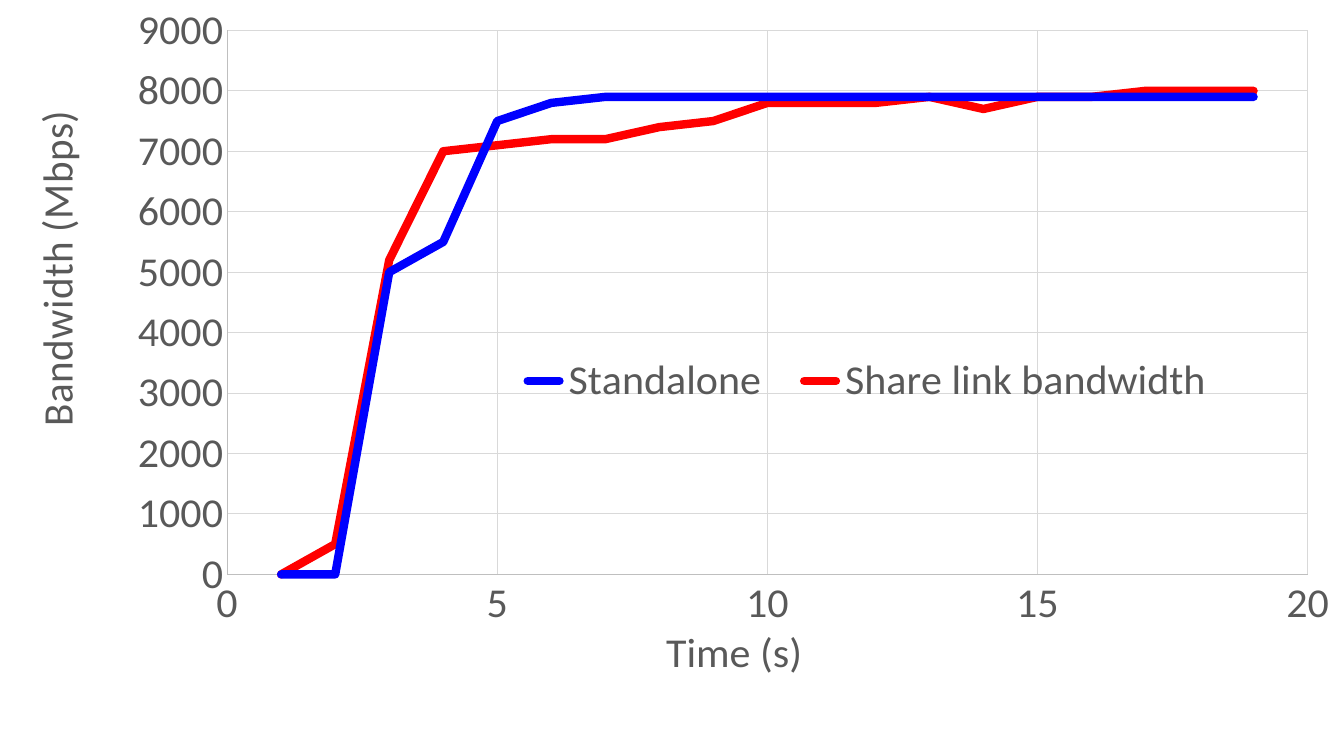
from lxml import etree
from pptx import Presentation
from pptx.chart.data import XyChartData
from pptx.dml.color import RGBColor
from pptx.enum.chart import XL_CHART_TYPE, XL_LEGEND_POSITION, XL_MARKER_STYLE, XL_TICK_MARK
from pptx.oxml.ns import qn
from pptx.util import Inches, Pt

LINES = XL_CHART_TYPE.XY_SCATTER_LINES_NO_MARKERS
BOTTOM = XL_LEGEND_POSITION.BOTTOM
NO_MARKER = XL_MARKER_STYLE.NONE
NO_TICK = XL_TICK_MARK.NONE

BLUE = RGBColor(0x00, 0x00, 0xFF)
RED = RGBColor(0xFF, 0x00, 0x00)
TEXT_GRAY = RGBColor(0x59, 0x59, 0x59)
AXIS_GRAY = RGBColor(0xBF, 0xBF, 0xBF)
GRID_GRAY = RGBColor(0xD9, 0xD9, 0xD9)

BANDWIDTH = {
    "Standalone": (BLUE, [0, 0, 5000, 5500, 7500, 7800] + [7900] * 13),
    "Share link bandwidth": (RED, [
        0, 500, 5200, 7000, 7100, 7200, 7200, 7400, 7500, 7800,
        7800, 7800, 7900, 7700, 7900, 7900, 8000, 8000, 8000]),
}


def style_font(font):
    font.name = "Calibri"
    font.size = Pt(30)
    font.bold = False
    font.color.rgb = TEXT_GRAY


def place(element, **shares):
    """Set a manual layout, given as shares of the chart's size."""
    for old in element.findall(qn("c:layout")):
        element.remove(old)
    layout = etree.Element(qn("c:layout"))
    manual = etree.SubElement(layout, qn("c:manualLayout"))
    if element.tag == qn("c:plotArea"):
        etree.SubElement(manual, qn("c:layoutTarget")).set("val", "inner")
    for side in ("x", "y"):
        etree.SubElement(manual, qn(f"c:{side}Mode")).set("val", "edge")
    for side, share in shares.items():
        etree.SubElement(manual, qn(f"c:{side}")).set("val", str(share))
    overlay = element.find(qn("c:overlay"))
    if overlay is None:
        element.insert(0, layout)
    else:
        overlay.addprevious(layout)


deck = Presentation()
deck.slide_width = Inches(13.33)
deck.slide_height = Inches(7.5)
page = deck.slides.add_slide(deck.slide_layouts[6])

data = XyChartData()
for name, (color, speeds) in BANDWIDTH.items():
    points = data.add_series(name)
    for second, speed in enumerate(speeds, start=1):
        points.add_data_point(second, speed)

chart = page.shapes.add_chart(
    LINES, 0, 0, deck.slide_width, Inches(6.86), data).chart
chart.has_title = False
style_font(chart.font)
place(chart.plots[0]._element.getparent(), x=0.169, y=0.045, w=0.804, h=0.804)

# Lines
chart.plots[0].vary_by_categories = False
for series in chart.plots[0].series:
    series.smooth = False
    series.marker.style = NO_MARKER
    series.format.line.width = Pt(6)
    series.format.line.color.rgb = BANDWIDTH[series.name][0]
    stroke = series._element.find(f"{qn('c:spPr')}/{qn('a:ln')}")
    stroke.set("cap", "rnd")
    etree.SubElement(stroke, qn("a:round"))

# Axes
AXES = [
    (chart.category_axis, "Time (s)", 20, 5, 0, 0.49, 0.911),
    (chart.value_axis, "Bandwidth (Mbps)", 9000, 1000, -90, 0.015, 0.162),
]
for axis, title, top, step, angle, left, upper in AXES:
    axis.minimum_scale = 0
    axis.maximum_scale = top
    axis.major_unit = step
    axis.major_tick_mark = axis.minor_tick_mark = NO_TICK
    axis.has_major_gridlines = True
    for line, color in ((axis.format.line, AXIS_GRAY),
                        (axis.major_gridlines.format.line, GRID_GRAY)):
        line.width = Pt(0.75)
        line.color.rgb = color
    style_font(axis.tick_labels.font)
    frame = axis.axis_title.text_frame
    span = frame.paragraphs[0].add_run()
    span.text = title
    style_font(span.font)
    frame._txBody.bodyPr.set("rot", str(angle * 60000))
    frame._txBody.bodyPr.set("vert", "horz")
    place(axis.axis_title._element, x=left, y=upper)

# Legend
chart.has_legend = True
chart.legend.position = BOTTOM
chart.legend.include_in_layout = False
style_font(chart.legend.font)
place(chart.legend._element, x=0.371, y=0.523, w=0.548, h=0.08)

deck.save("out.pptx")
